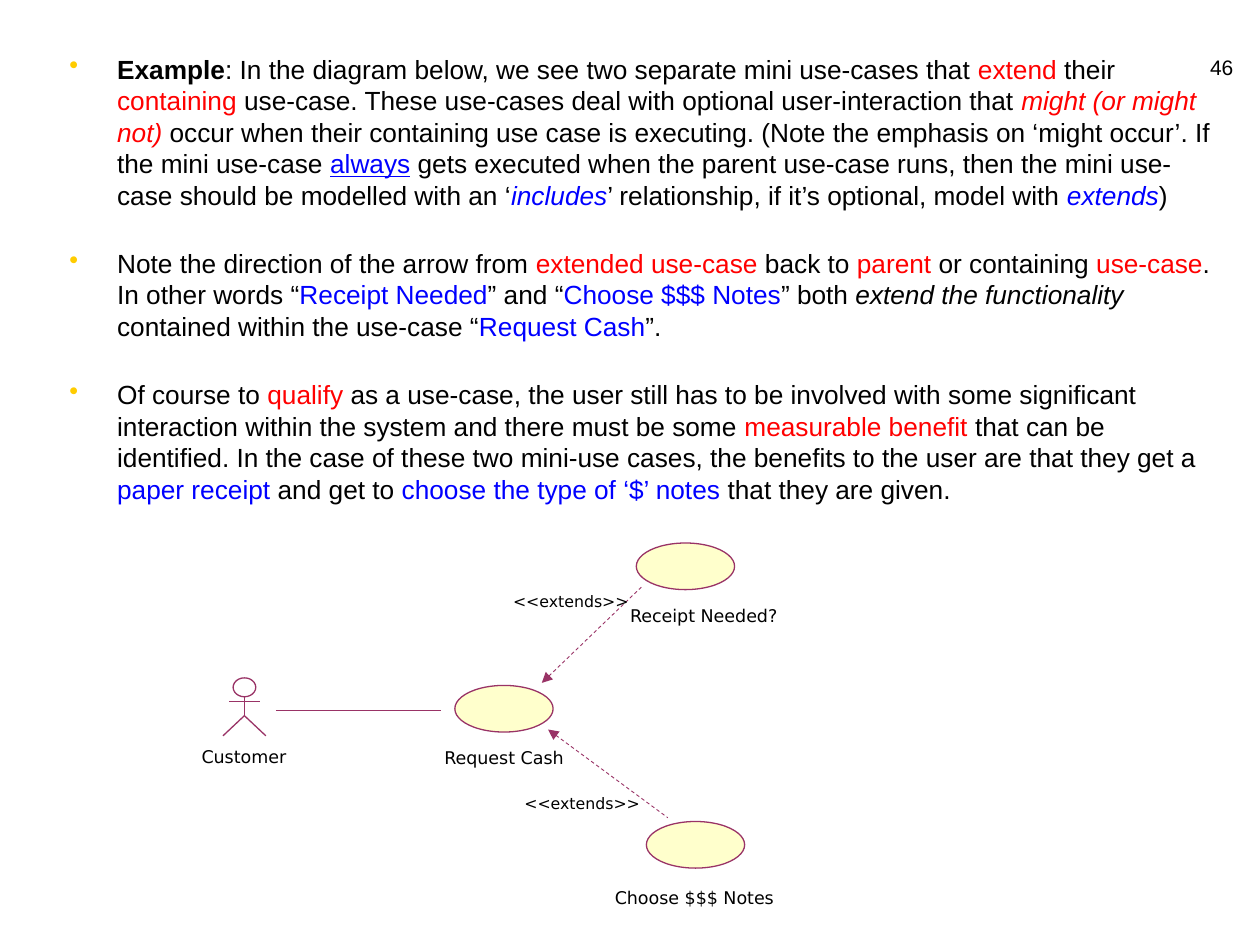
from lxml.etree import SubElement
from pptx import Presentation
from pptx.dml.color import RGBColor
from pptx.enum.dml import MSO_LINE_DASH_STYLE as DASH
from pptx.enum.shapes import MSO_CONNECTOR, MSO_SHAPE
from pptx.enum.text import MSO_ANCHOR as ANCHOR, PP_ALIGN as ALIGN
from pptx.oxml.ns import qn
from pptx.util import Inches, Pt

BLACK, RED, BLUE = "000000", "FF0000", "0000FF"
PLUM, CREAM, WHITE, GOLD = "993366", "FFFFCC", "FFFFFF", "FFCC00"

BULLETS = [
    [("Example", BLACK, "b"),
     (": In the diagram below, we see two separate mini use-cases that ",),
     ("extend", RED), (" their ",), ("containing", RED),
     (" use-case. These use-cases deal with optional user-interaction that ",),
     ("might (or might not)", RED, "i"),
     (" occur when their containing use case is executing. (Note the emphasis"
      " on ‘might occur’. If the mini use-case ",),
     ("always", BLUE, "u"),
     (" gets executed when the parent use-case runs, then the mini use-case"
      " should be modelled with an ‘",),
     ("includes", BLUE, "i"),
     ("’ relationship, if it’s optional, model with ",),
     ("extends", BLUE, "i"), (")",)],
    [("Note the direction of the arrow from ",), ("extended use-case", RED),
     (" back to ",), ("parent ", RED), ("or containing",),
     (" use-case", RED), (". In other words “",), ("Receipt Needed", BLUE),
     ("” and “",), ("Choose $$$ Notes", BLUE), ("” both ",),
     ("extend the functionality ", BLACK, "i"),
     ("contained within the use-case “",), ("Request Cash", BLUE), ("”.",)],
    [("Of course to ",), ("qualify", RED),
     (" as a use-case, the user still has to be involved with some significant"
      " interaction within the system and there must be some ",),
     ("measurable benefit", RED),
     (" that can be identified. In the case of these two mini-use cases, the"
      " benefits to the user are that they get a ",),
     ("paper receipt", BLUE), (" and get to ",),
     ("choose the type of ‘$’ notes", BLUE), (" that they are given.",)],
]


def color(value):
    return RGBColor.from_string(value)


class UseCaseSlide:
    """Draws text and use-case diagram elements in one style on a slide."""

    def __init__(self, slide):
        self.shapes = slide.shapes

    def text_frame(self, left, top, width, height, anchor, wrap):
        box = self.shapes.add_textbox(*map(Inches, (left, top, width, height)))
        frame = box.text_frame
        frame.word_wrap = wrap
        frame.vertical_anchor = anchor
        frame.margin_left = frame.margin_right = Inches(0.05)
        frame.margin_top = frame.margin_bottom = Inches(0.05)
        return frame

    def label(self, text, left, top, width, height=0.27, size=10,
              font="DejaVu Sans", align=ALIGN.CENTER, anchor=ANCHOR.MIDDLE):
        frame = self.text_frame(left, top, width, height, anchor, False)
        paragraph = frame.paragraphs[0]
        paragraph.text = text
        paragraph.alignment = align
        self.set_font(paragraph.font, size, font)
        paragraph.font.color.rgb = color(BLACK)

    def set_font(self, font, size, name):
        font.size = Pt(size)
        font.name = name

    def bullets(self, items, left, top, width, height):
        frame = self.text_frame(left, top, width, height, ANCHOR.TOP, True)
        for index, runs in enumerate(items):
            paragraph = frame.add_paragraph() if index else frame.paragraphs[0]
            paragraph.space_before = Pt(21 if index else 3)
            paragraph.line_spacing = Pt(18)
            self.set_font(paragraph.font, 15, "Arial")
            self.add_bullet(paragraph)
            for run in runs:
                self.add_run(paragraph, *run)

    def add_bullet(self, paragraph):
        properties = paragraph._p.get_or_add_pPr()
        indent = Inches(0.38)
        properties.set("marL", str(indent))
        properties.set("indent", str(-indent))
        bullet_color = properties.makeelement(qn("a:buClr"), {})
        SubElement(bullet_color, qn("a:srgbClr"), val=GOLD)
        bullet = properties.makeelement(qn("a:buChar"), {"char": "•"})
        default_font = properties.find(qn("a:defRPr"))
        default_font.addprevious(bullet_color)
        default_font.addprevious(bullet)

    def add_run(self, paragraph, text, hue=BLACK, style=""):
        run = paragraph.add_run()
        run.text = text
        run.font.color.rgb = color(hue)
        if style:
            run.font.bold = style == "b"
            run.font.italic = style == "i"
            run.font.underline = style == "u"

    def ellipse(self, left, top, width, height, fill=CREAM):
        shape = self.shapes.add_shape(
            MSO_SHAPE.OVAL, *map(Inches, (left, top, width, height)))
        shape.shadow.inherit = False
        shape.fill.solid()
        shape.fill.fore_color.rgb = color(fill)
        shape.line.color.rgb = color(PLUM)
        shape.line.width = Pt(0.75)

    def line(self, *ends):
        connector = self.shapes.add_connector(
            MSO_CONNECTOR.STRAIGHT, *map(Inches, ends))
        connector.line.color.rgb = color(PLUM)
        connector.line.width = Pt(0.75)
        SubElement(connector._element.spPr, qn("a:effectLst"))
        return connector

    def extends_arrow(self, *ends):
        line = self.line(*ends).line
        line.width = Pt(0.5)
        line.dash_style = DASH.DASH
        SubElement(line._get_or_add_ln(), qn("a:headEnd"), type="triangle")

    def actor(self, center, top):
        neck, hip, foot = top + 0.15, top + 0.3, top + 0.46
        self.ellipse(center - 0.09, top, 0.18, 0.15, WHITE)
        self.line(center, neck, center, hip)
        for side in (-1, 1):
            self.line(center, hip, center + side * 0.17, foot)
        self.line(center - 0.12, top + 0.19, center + 0.12, top + 0.19)


def main():
    presentation = Presentation()
    presentation.slide_width = Inches(10)
    presentation.slide_height = Inches(7.5)
    page = UseCaseSlide(
        presentation.slides.add_slide(presentation.slide_layouts[6]))

    page.label("46", 9.51, 0.37, 0.33, 0.31, 12, "Arial",
               ALIGN.RIGHT, ANCHOR.BOTTOM)
    page.bullets(BULLETS, 0.5, 0.37, 9.24, 6.93)

    page.actor(1.94, 5.38)
    page.label("Customer", 1.54, 5.87, 0.79)
    page.line(2.19, 5.64, 3.5, 5.64)

    use_cases = [
        ("Request Cash", 3.61, 5.44, 3.47, 5.88, 1.06),
        ("Receipt Needed?", 5.05, 4.31, 4.95, 4.75, 1.27),
        ("Choose $$$ Notes", 5.13, 6.52, 4.82, 6.99, 1.38),
    ]
    for name, left, top, *label_place in use_cases:
        page.ellipse(left, top, 0.78, 0.37)
        page.label(name, *label_place)

    extensions = [
        ((4.3, 5.42, 5.09, 4.66), (4.02, 4.65)),
        ((4.35, 5.79, 5.3, 6.49), (4.11, 6.25)),
    ]
    for ends, label_corner in extensions:
        page.extends_arrow(*ends)
        page.label("<<extends>>", *label_corner, 1.02, 0.25, size=9)

    presentation.save("out.pptx")


if __name__ == "__main__":
    main()
